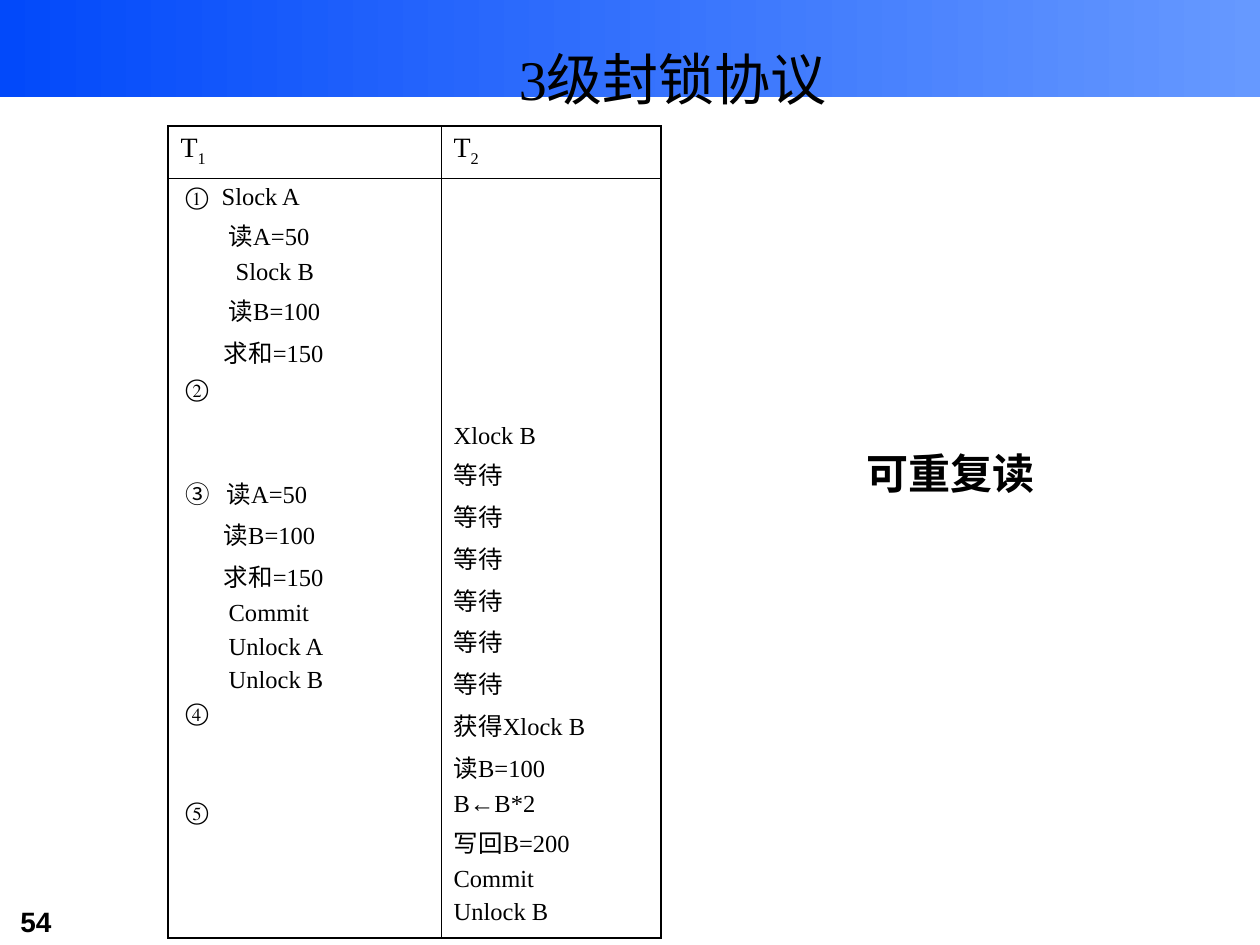
from dataclasses import dataclass

from lxml import etree
from pptx import Presentation
from pptx import util as u
from pptx.dml import color
from pptx.enum import shapes, text
from pptx.oxml import ns

PX = 914400 / 126


@dataclass(frozen=True)
class Theme:
    ink: str = "000000"
    banner_start: str = "0249FA"
    banner_end: str = "6699FF"
    serif: str = "Times New Roman"
    sans: str = "Arial"
    title: int = 32
    callout: int = 24
    heading: int = 16
    body: int = 14
    thick: float = 1.08
    thin: float = 0.45


THEME = Theme()


def px(length):
    return u.Emu(round(length * PX))


def write(paragraph, content, size=THEME.body, font=THEME.serif, bold=False, baseline=0):
    run = paragraph.add_run()
    run.text = content
    run.font.size = u.Pt(size)
    run.font.name = font
    run.font.bold = bold
    run.font.color.rgb = color.RGBColor.from_string(THEME.ink)
    if baseline:
        run.font._element.set("baseline", str(baseline * 1000))


@dataclass(frozen=True)
class Line:
    content: str
    indent: int = 0
    hanging: int = 0
    before: float = 3.5


def step(content, before=3.5, indent=41):
    return Line(content, indent, indent - 5, before)


class SlideBuilder:
    def __init__(self, presentation, theme):
        self.theme = theme
        self.slide = presentation.slides.add_slide(presentation.slide_layouts[5])

    def banner(self, width, height):
        shape = self.slide.shapes.add_shape(
            shapes.MSO_SHAPE.RECTANGLE, 0, 0, px(width), px(height))
        shape.shadow.inherit = False
        shape.line.fill.background()
        shape.fill.gradient()
        shape.fill.gradient_angle = 0
        ends = (self.theme.banner_start, self.theme.banner_end)
        for stop, position, value in zip(shape.fill.gradient_stops, (0, 1), ends):
            stop.position = position
            stop.color.rgb = color.RGBColor.from_string(value)
        self.slide.shapes._spTree.insert(2, shape._element)

    def title(self, content, left, top, width, height):
        shape = self.slide.shapes.title
        shape.left, shape.top, shape.width, shape.height = map(px, (left, top, width, height))
        frame = shape.text_frame
        frame.auto_size = text.MSO_AUTO_SIZE.NONE
        frame.vertical_anchor = text.MSO_ANCHOR.MIDDLE
        frame.paragraphs[0].alignment = text.PP_ALIGN.CENTER
        write(frame.paragraphs[0], content, size=self.theme.title)

    def label(self, content, left, top, width, height, align=text.PP_ALIGN.LEFT,
              anchor=text.MSO_ANCHOR.TOP, **style):
        shape = self.slide.shapes.add_textbox(*map(px, (left, top, width, height)))
        frame = shape.text_frame
        frame.word_wrap = True
        frame.vertical_anchor = anchor
        frame.paragraphs[0].alignment = align
        write(frame.paragraphs[0], content, bold=True, **style)

    def table(self, left, top, widths, heights):
        frame = self.slide.shapes.add_table(
            len(heights), len(widths), px(left), px(top), px(sum(widths)), px(sum(heights)))
        table = frame.table
        table.first_row = table.horz_banding = False
        for column, width in zip(table.columns, widths):
            column.width = px(width)
        for row, height in zip(table.rows, heights):
            row.height = px(height)
        last_row, last_column = len(heights) - 1, len(widths) - 1
        for r in range(len(heights)):
            for c in range(len(widths)):
                cell = table.cell(r, c)
                cell.fill.background()
                self.borders(cell, L=c == 0, R=c == last_column, T=r == 0, B=r == last_row)
        return table

    def borders(self, cell, **outer_sides):
        properties = cell._tc.get_or_add_tcPr()
        for index, (side, outer) in enumerate(outer_sides.items()):
            width = self.theme.thick if outer else self.theme.thin
            line = etree.Element(ns.qn(f"a:ln{side}"), w=str(u.Pt(width)))
            fill = etree.SubElement(line, ns.qn("a:solidFill"))
            etree.SubElement(fill, ns.qn("a:srgbClr"), val=self.theme.ink)
            properties.insert(index, line)

    def heading(self, cell, name, subscript):
        paragraph = cell.text_frame.paragraphs[0]
        write(paragraph, name, size=self.theme.heading)
        write(paragraph, subscript, size=self.theme.heading, baseline=-25)

    def schedule(self, cell, lines, margin_top=6):
        cell.margin_top = px(margin_top)
        frame = cell.text_frame
        for index, line in enumerate(lines):
            paragraph = frame.add_paragraph() if index else frame.paragraphs[0]
            properties = paragraph._p.get_or_add_pPr()
            properties.set("marL", str(px(line.indent)))
            properties.set("indent", str(-px(line.hanging)))
            if line.hanging:
                tabs = etree.SubElement(properties, ns.qn("a:tabLst"))
                etree.SubElement(tabs, ns.qn("a:tab"), pos=str(px(line.indent)), algn="l")
            paragraph.space_before = u.Pt(line.before if index else 0)
            write(paragraph, line.content)


def main():
    presentation = Presentation()
    presentation.slide_width, presentation.slide_height = px(1260), px(945)
    builder = SlideBuilder(presentation, THEME)
    builder.banner(1260, 97)
    builder.title("3级封锁协议", 136, 42, 1074, 73)
    builder.label("54", 8, 898, 154, 47, size=THEME.heading, font=THEME.sans)

    table = builder.table(168, 126, widths=(273, 220), heights=(52, 760))
    for column, subscript in enumerate("12"):
        builder.heading(table.cell(0, column), "T", subscript)

    section_gap = 41
    first_transaction = [
        step("①\tSlock A"),
        Line("读A=50", 48),
        Line("Slock B", 55),
        Line("读B=100", 48),
        Line("求和=150", 43),
        step("②"),
        step("③\t读A=50", section_gap, 46),
        Line("读B=100", 43),
        Line("求和=150", 43),
        *(Line(content, 48) for content in ("Commit", "Unlock A", "Unlock B")),
        step("④"),
        step("⑤", section_gap),
    ]
    second_transaction = [
        "Xlock B", *["等待"] * 6, "获得Xlock B", "读B=100", "B←B*2",
        "写回B=200", "Commit", "Unlock B",
    ]
    builder.schedule(table.cell(1, 0), first_transaction)
    builder.schedule(table.cell(1, 1), map(Line, second_transaction), margin_top=245)

    builder.label("可重复读", 772, 431, 357, 84, align=text.PP_ALIGN.CENTER,
                  anchor=text.MSO_ANCHOR.MIDDLE, size=THEME.callout)
    presentation.save("out.pptx")


if __name__ == "__main__":
    main()
